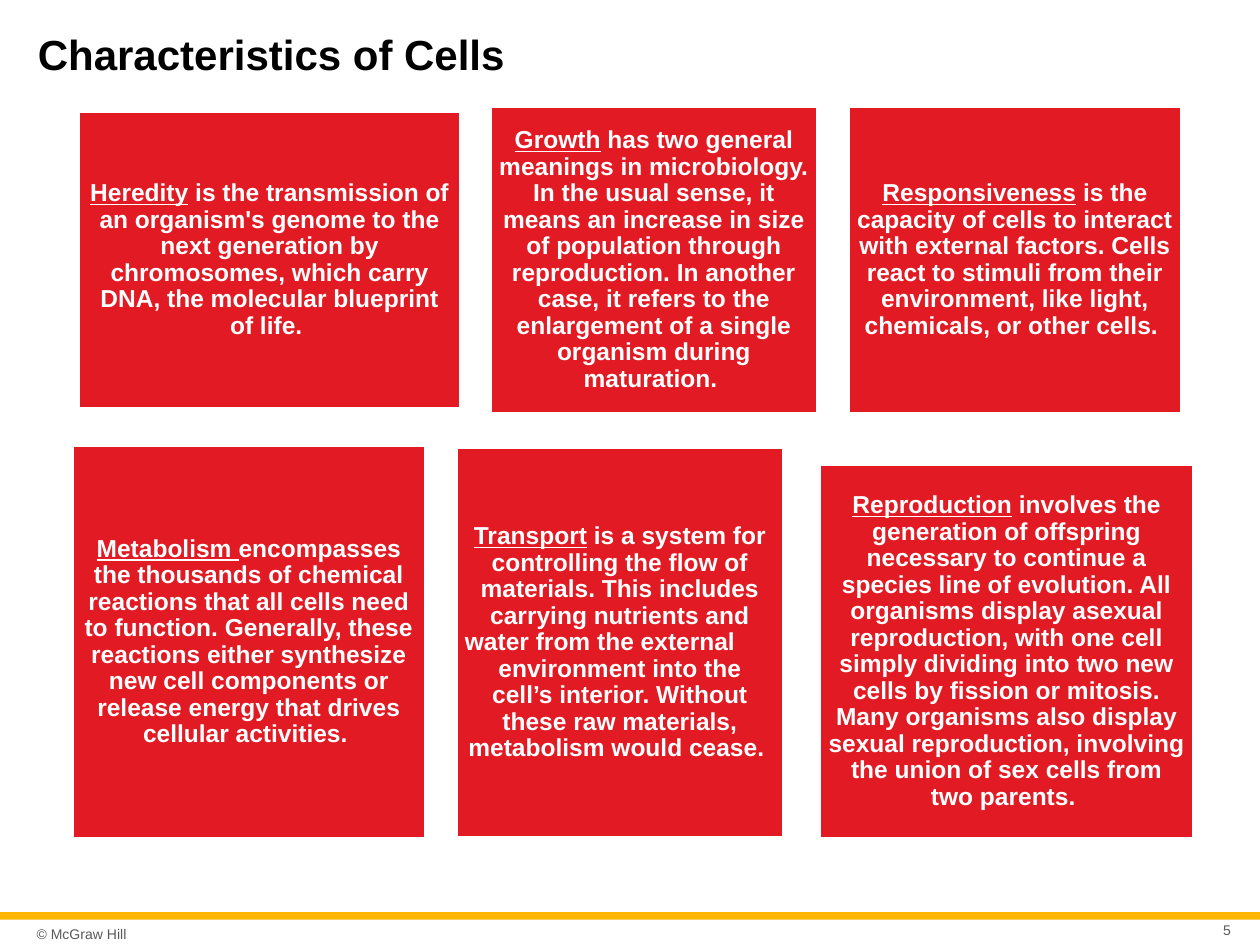
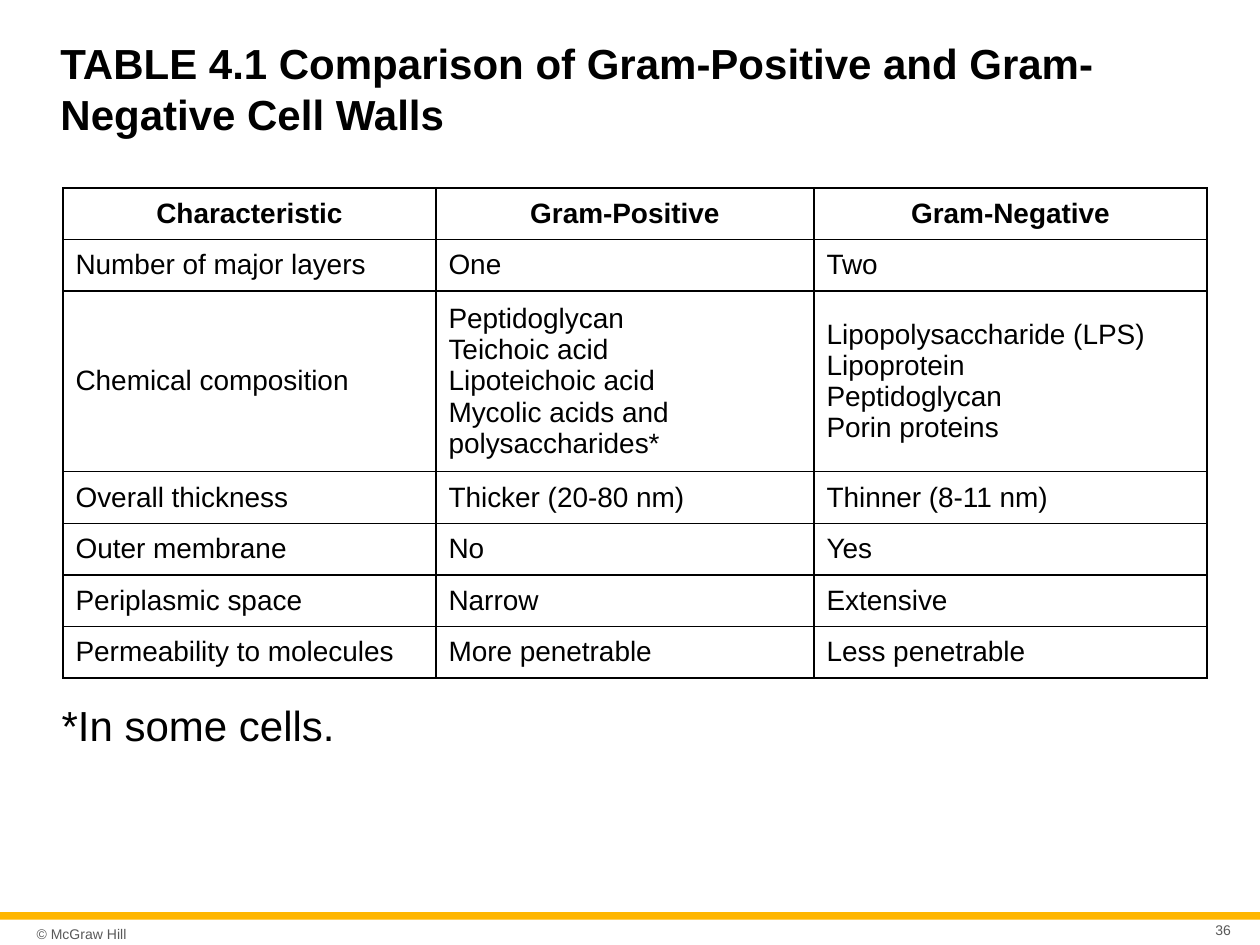
from typing import NamedTuple

from lxml.etree import SubElement
from pptx import Presentation
from pptx.dml.color import RGBColor
from pptx.enum.shapes import MSO_SHAPE
from pptx.enum.text import MSO_ANCHOR, MSO_AUTO_SIZE, PP_ALIGN
from pptx.oxml.ns import qn
from pptx.slide import Slide
from pptx.table import _Cell
from pptx.text.text import TextFrame, _Paragraph
from pptx.util import Inches, Pt

FONT = "Arial"
BLACK = RGBColor(0x00, 0x00, 0x00)
WHITE = RGBColor(0xFF, 0xFF, 0xFF)
GRAY = RGBColor(0x59, 0x59, 0x59)
RED = RGBColor(0xE2, 0x1A, 0x23)
GOLD = RGBColor(0xFF, 0xB6, 0x00)


class Card(NamedTuple):
    left: float
    top: float
    width: float
    height: float
    term: str
    text: str


CARDS = [
    Card(0.63, 0.89, 3.02, 2.35, "Heredity",
         " is the transmission of an organism's genome to the next generation by "
         "chromosomes, which carry DNA, the molecular blueprint of life. "),
    Card(3.9, 0.85, 2.58, 2.43, "Growth",
         " has two general meanings in microbiology. In the usual sense, it means an "
         "increase in size of population through reproduction. In another case, it "
         "refers to the enlargement of a single organism during maturation. "),
    Card(6.74, 0.85, 2.63, 2.43, "Responsiveness",
         " is the capacity of cells to interact with external factors. Cells react to "
         "stimuli from their environment, like light, chemicals, or other cells. "),
    Card(0.58, 3.54, 2.79, 3.11, "Metabolism ",
         "encompasses the thousands of chemical reactions that all cells need to "
         "function. Generally, these reactions either synthesize new cell components "
         "or release energy that drives cellular activities. "),
    Card(3.63, 3.56, 2.58, 3.08, "Transport",
         " is a system for controlling the flow of materials. This includes carrying "
         "nutrients and water from the external\t environment into the cell’s "
         "interior. Without these raw materials, metabolism would cease. "),
    Card(6.51, 3.69, 2.96, 2.96, "Reproduction",
         " involves the generation of offspring necessary to continue a species line "
         "of evolution. All organisms display asexual reproduction, with one cell "
         "simply dividing into two new cells by fission or mitosis. Many organisms "
         "also display sexual reproduction, involving the union of sex cells from "
         "two parents. "),
]

CELL_WALLS = [
    ("Characteristic", "Gram-Positive", "Gram-Negative"),
    ("Number of major layers", "One", "Two"),
    ("Chemical composition",
     "Peptidoglycan\nTeichoic acid\nLipoteichoic acid\n"
     "Mycolic acids and polysaccharides*",
     "Lipopolysaccharide (LPS)\nLipoprotein\nPeptidoglycan\nPorin proteins"),
    ("Overall thickness", "Thicker (20-80 nm)", "Thinner (8-11 nm)"),
    ("Outer membrane", "No", "Yes"),
    ("Periplasmic space", "Narrow", "Extensive"),
    ("Permeability to molecules", "More penetrable", "Less penetrable"),
]
COLUMN_WIDTHS = (2.96, 3.0, 3.12)
ROW_HEIGHT, COMPOSITION_HEIGHT = 0.41, 1.33


def style(p: _Paragraph, size: float, color: RGBColor, bold: bool = False,
          align: PP_ALIGN = PP_ALIGN.LEFT) -> None:
    p.alignment = align
    p.font.name, p.font.size, p.font.bold = FONT, Pt(size), bold
    p.font.color.rgb = color


def set_insets(tf: TextFrame, inset: float) -> None:
    tf.margin_left = tf.margin_right = Inches(inset)
    tf.margin_top = tf.margin_bottom = Inches(inset)


def add_text(s: Slide, left: float, top: float, width: float, height: float,
             text: str, size: float, color: RGBColor,
             align: PP_ALIGN = PP_ALIGN.LEFT) -> TextFrame:
    tf = s.shapes.add_textbox(Inches(left), Inches(top),
                              Inches(width), Inches(height)).text_frame
    tf.word_wrap = True
    tf.text = text
    style(tf.paragraphs[0], size, color, align=align)
    return tf


def add_slide(prs: Presentation, title: str, left: float, top: float,
              number: int) -> Slide:
    """Add a slide with its title, gold band, copyright line and page number."""
    s = prs.slides.add_slide(prs.slide_layouts[5])
    band = s.shapes.add_shape(MSO_SHAPE.RECTANGLE, 0, Inches(7.24),
                              prs.slide_width, Inches(0.06))
    band.shadow.inherit = False
    band.fill.solid()
    band.fill.fore_color.rgb = GOLD
    band.line.fill.background()

    footers = [
        add_text(s, 0.24, 7.29, 1.35, 0.24, "© McGraw Hill", 8, GRAY),
        add_text(s, 9.43, 7.29, 0.39, 0.18, str(number), 8, GRAY, PP_ALIGN.RIGHT),
    ]
    for tf in footers:
        set_insets(tf, 0.05)
        tf.vertical_anchor = MSO_ANCHOR.MIDDLE

    sp = s.shapes.title
    sp.left, sp.top = Inches(left), Inches(top)
    sp.width, sp.height = Inches(9.25), Inches(0.74)
    tf = sp.text_frame
    tf.text = title
    tf.auto_size = MSO_AUTO_SIZE.NONE
    tf.vertical_anchor = MSO_ANCHOR.MIDDLE
    style(tf.paragraphs[0], 24, BLACK, bold=True)
    return s


def add_card(s: Slide, card: Card) -> None:
    sp = s.shapes.add_shape(MSO_SHAPE.RECTANGLE, Inches(card.left), Inches(card.top),
                            Inches(card.width), Inches(card.height))
    sp.shadow.inherit = False
    sp.fill.solid()
    sp.fill.fore_color.rgb = RED
    sp.line.color.rgb = WHITE
    sp.line.width = Pt(1)
    tf = sp.text_frame
    tf.word_wrap = True
    tf.vertical_anchor = MSO_ANCHOR.MIDDLE
    set_insets(tf, 0.06)
    p = tf.paragraphs[0]
    p.line_spacing = 0.9
    style(p, 14, WHITE, bold=True, align=PP_ALIGN.CENTER)
    for text, underline in ((card.term, True), (card.text, False)):
        r = p.add_run()
        r.text = text
        r.font.underline = underline


def add_borders(cell: _Cell) -> None:
    tc_pr = cell._tc.get_or_add_tcPr()
    for i, side in enumerate(("lnL", "lnR", "lnT", "lnB")):
        ln = SubElement(tc_pr, qn(f"a:{side}"), w=str(Pt(1)))
        tc_pr.insert(i, ln)
        fill = SubElement(ln, qn("a:solidFill"))
        SubElement(fill, qn("a:srgbClr"), val=str(BLACK))


def add_cell_wall_table(s: Slide) -> None:
    height = ROW_HEIGHT * (len(CELL_WALLS) - 1) + COMPOSITION_HEIGHT
    table = s.shapes.add_table(len(CELL_WALLS), len(COLUMN_WIDTHS), Inches(0.5),
                               Inches(1.49), Inches(sum(COLUMN_WIDTHS)),
                               Inches(height)).table
    table.first_row = table.horz_banding = False
    for column, width in zip(table.columns, COLUMN_WIDTHS):
        column.width = Inches(width)
    for i, values in enumerate(CELL_WALLS):
        is_header = i == 0
        table.rows[i].height = Inches(COMPOSITION_HEIGHT if i == 2 else ROW_HEIGHT)
        for j, value in enumerate(values):
            cell = table.cell(i, j)
            cell.text = value
            cell.vertical_anchor = MSO_ANCHOR.MIDDLE
            cell.fill.background()
            add_borders(cell)
            for p in cell.text_frame.paragraphs:
                style(p, 16, BLACK, bold=is_header,
                      align=PP_ALIGN.CENTER if is_header else PP_ALIGN.LEFT)


def main() -> None:
    prs = Presentation()
    prs.slide_width, prs.slide_height = Inches(10), Inches(7.5)

    s = add_slide(prs, "Characteristics of Cells", 0.2, 0.06, 5)
    for card in CARDS:
        add_card(s, card)

    s = add_slide(prs, "TABLE 4.1 Comparison of Gram-Positive and "
                  "Gram-Negative Cell Walls", 0.38, 0.33, 36)
    add_cell_wall_table(s)
    add_text(s, 0.39, 5.5, 9.25, 0.5, "*In some cells.", 24, BLACK)

    prs.save("out.pptx")


if __name__ == "__main__":
    main()
